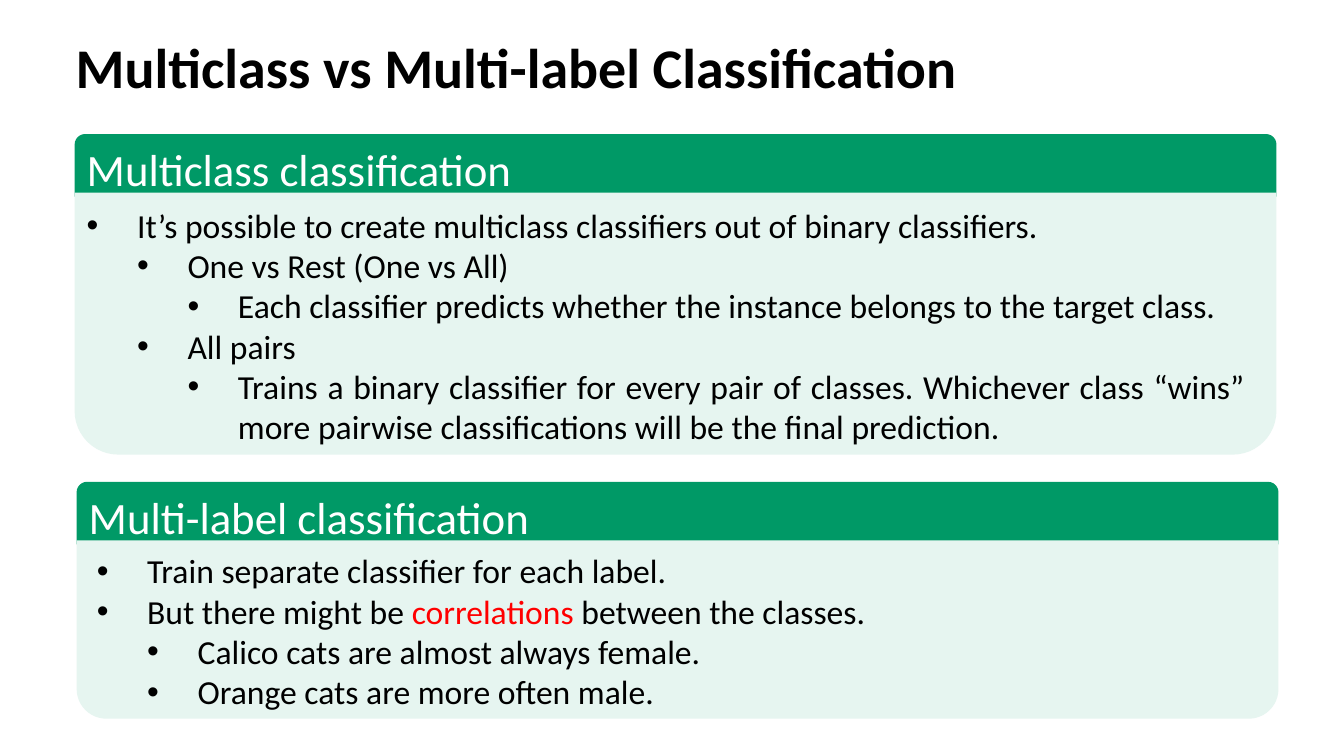
"""Build a slide on multiclass and multi-label classification."""
from lxml import etree
from pptx import Presentation
from pptx import util as u
from pptx.dml.color import RGBColor
from pptx.enum import shapes, text
from pptx.oxml.ns import qn

GREEN = RGBColor(0x00, 0x99, 0x66)
MINT = RGBColor(0xE6, 0xF5, 0xF0)
BLACK = RGBColor(0x00, 0x00, 0x00)
WHITE = RGBColor(0xFF, 0xFF, 0xFF)
RED = RGBColor(0xFF, 0x00, 0x00)
PANEL_W, HEADER_H, OVERLAP, INDENT = 11.92, 0.62, 0.04, 0.5

prs = Presentation()
prs.slide_width, prs.slide_height = u.Inches(13.33), u.Inches(7.5)
s = prs.slides.add_slide(prs.slide_layouts.get_by_name("Comparison"))


def place(sp, left, top, width, height, wrap):
    """Move a placeholder to the front and set up its frame."""
    sp.element.getparent().append(sp.element)
    sp.left, sp.top = u.Inches(left), u.Inches(top)
    sp.width, sp.height = u.Inches(width), u.Inches(height)
    tf = sp.text_frame
    tf.auto_size = text.MSO_AUTO_SIZE.NONE
    tf.vertical_anchor = text.MSO_ANCHOR.TOP
    tf.word_wrap = wrap
    return tf


def style(p, size, color, align=text.PP_ALIGN.LEFT, bold=False):
    """Format a paragraph and its runs."""
    p.alignment = align
    p.space_before = u.Pt(0)
    for r in p.runs:
        r.font.name, r.font.size, r.font.bold = "Calibri", u.Pt(size), bold
        r.font.color.rgb = color


tf = place(s.shapes.title, 0.65, 0.27, 9.19, 0.77, False)
tf.text = "Multiclass vs Multi-label Classification"
style(tf.paragraphs[0], 40, BLACK, bold=True)

panels = [
    (0.74, 1.33, 2.6, 1, "Multiclass classification", (0.76, 1.98, 2.52), [
        (0, ["It’s possible to create multiclass classifiers out of binary classifiers."]),
        (1, ["One vs Rest (One vs All)"]),
        (2, ["Each classifier predicts whether the instance belongs to the target class."]),
        (1, ["All pairs"]),
        (2, ["Trains a binary classifier for every pair of classes. Whichever class “wins” "
             "more pairwise classifications will be the final prediction."]),
    ]),
    (0.76, 4.78, 1.77, 3, "Multi-label classification", (0.86, 5.41, 1.72), [
        (0, ["Train separate classifier for each label."]),
        (0, ["But there might be ", "correlations", " between the classes."]),
        (1, ["Calico cats are almost always female."]),
        (1, ["Orange cats are more often male."]),
    ]),
]

for left, top, body_h, idx, heading, (list_left, list_top, list_h), items in panels:
    body_top = top + HEADER_H - OVERLAP
    for y, height, color, turn in ((top, HEADER_H, GREEN, 0), (body_top, body_h, MINT, 180)):
        sp = s.shapes.add_shape(shapes.MSO_SHAPE.ROUND_2_SAME_RECTANGLE, u.Inches(left),
                                u.Inches(y), u.Inches(PANEL_W), u.Inches(height))
        sp.rotation = turn
        sp.shadow.inherit = False
        sp.fill.solid()
        sp.fill.fore_color.rgb = color
        sp.line.fill.background()

    holders = {sp.placeholder_format.idx: sp for sp in s.placeholders}
    tf = place(holders[idx], left + 0.02, top + 0.03, 4.63, 0.64, False)
    tf.text = heading
    style(tf.paragraphs[0], 32, WHITE)

    tf = place(holders[idx + 1], list_left, list_top, 11.69, list_h, True)
    for i, (level, pieces) in enumerate(items):
        p = tf.add_paragraph() if i else tf.paragraphs[0]
        p.level = level
        pPr = p._p.get_or_add_pPr()
        pPr.set("marL", str(u.Inches(INDENT * (level + 1))))
        pPr.set("indent", str(u.Inches(-INDENT)))
        etree.SubElement(pPr, qn("a:buFont")).set("typeface", "Arial")
        etree.SubElement(pPr, qn("a:buChar")).set("char", "•")
        for piece in pieces:
            p.add_run().text = piece
        style(p, 24, BLACK, text.PP_ALIGN.JUSTIFY)
        for r in p.runs[1::2]:
            r.font.color.rgb = RED

prs.save("out.pptx")
